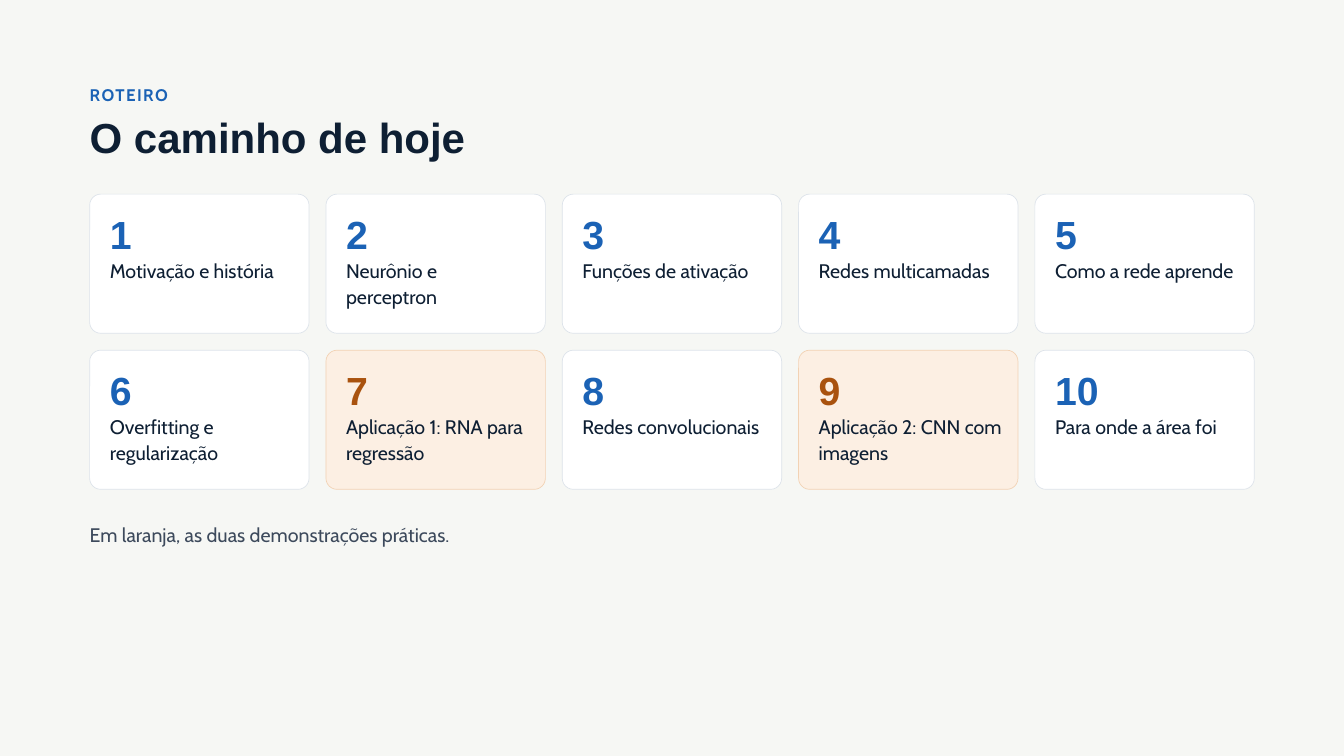
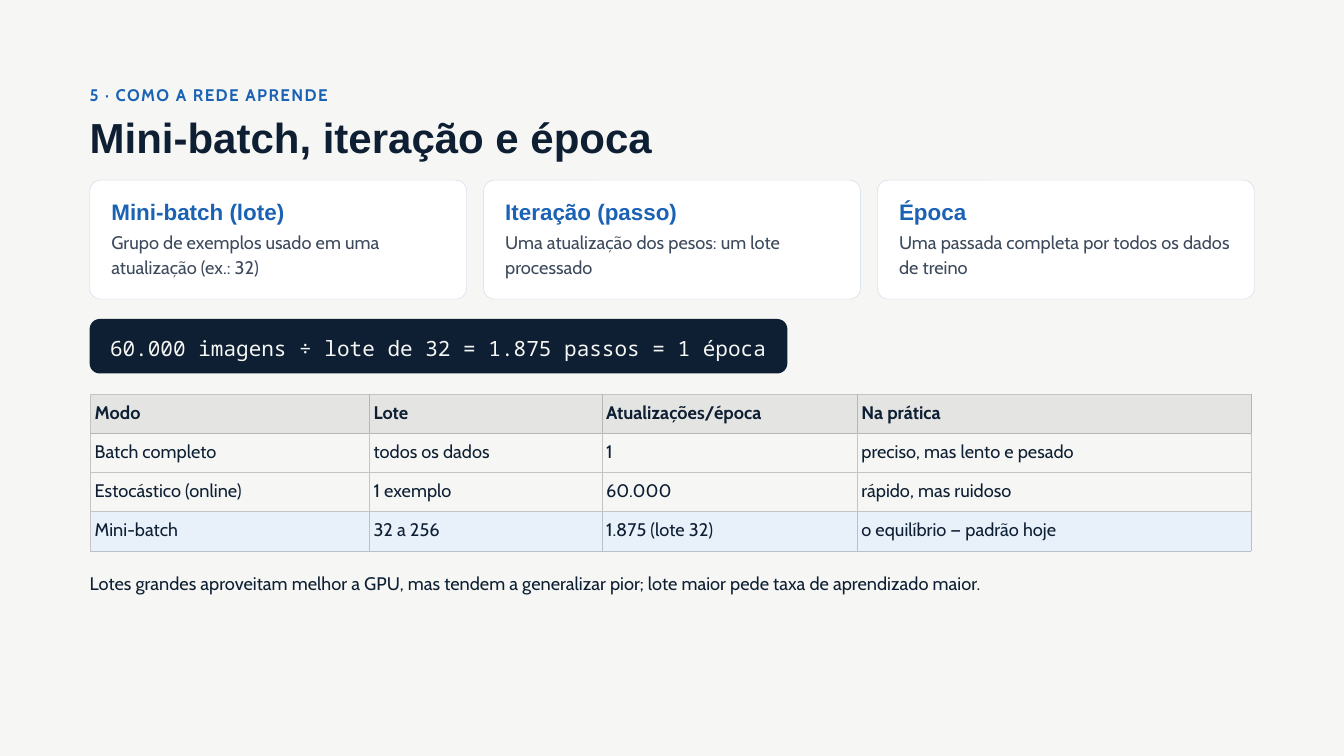
from dataclasses import dataclass
from typing import Optional

import lxml.etree
import pptx
import pptx.dml.color
import pptx.enum.shapes
import pptx.enum.text
import pptx.oxml.ns
import pptx.shapes.autoshape
import pptx.slide
import pptx.table
import pptx.text.text
import pptx.util

Cm = pptx.util.Cm
Pt = pptx.util.Pt
RGBColor = pptx.dml.color.RGBColor
PP_ALIGN = pptx.enum.text.PP_ALIGN
MSO_ANCHOR = pptx.enum.text.MSO_ANCHOR

# Colours
PAPER = RGBColor(0xF6, 0xF7, 0xF4)
WHITE = RGBColor(0xFF, 0xFF, 0xFF)
NAVY = RGBColor(0x0E, 0x1F, 0x33)
BLUE = RGBColor(0x1B, 0x62, 0xB5)
SLATE = RGBColor(0x3D, 0x4A, 0x5C)
CARD_EDGE = RGBColor(0xDD, 0xE3, 0xEA)
ORANGE = RGBColor(0xA9, 0x52, 0x0E)
ORANGE_PALE = RGBColor(0xFC, 0xEF, 0xE3)
ORANGE_EDGE = RGBColor(0xF2, 0xD2, 0xB4)
GRID = RGBColor(0xC4, 0xC5, 0xC3)
HEADER_FILL = RGBColor(0xE4, 0xE5, 0xE2)
HEADER_GRID = RGBColor(0xB6, 0xB7, 0xB4)
ACCENT_FILL = RGBColor(0xE8, 0xF0, 0xFA)
ACCENT_GRID = RGBColor(0xB9, 0xC0, 0xC7)

# Shared measures, in centimetres
LEFT = 3.39
CONTENT_WIDTH = 44.02
TEXT_WIDTH = 45.34
GAP = 0.64
CARD_RADIUS = 0.42
PADDING = 0.15


@dataclass(frozen=True)
class TextStyle:
    font: str
    size: float
    line: float
    color: RGBColor
    bold: bool = False
    tracking: float = 0


@dataclass(frozen=True)
class Box:
    left: float
    top: float
    width: float
    height: float

    def lengths(self) -> tuple:
        return Cm(self.left), Cm(self.top), Cm(self.width), Cm(self.height)


@dataclass(frozen=True)
class CardLook:
    fill: RGBColor
    edge: RGBColor
    accent: RGBColor


@dataclass(frozen=True)
class RowLook:
    fill: Optional[RGBColor]
    grid: RGBColor
    bold: bool = False


@dataclass(frozen=True)
class CardLayout:
    """Grid of cards, each with a heading above a text."""
    columns: int
    top: float
    height: float
    indent: float
    text_width: float
    heading_top: float
    heading_height: float
    body_top: float
    body_height: float

    def card(self, index: int) -> Box:
        width = (CONTENT_WIDTH - (self.columns - 1) * GAP) / self.columns
        row, column = divmod(index, self.columns)
        return Box(LEFT + column * (width + GAP), self.top + row * (self.height + GAP), width, self.height)


EYEBROW = TextStyle("Cabin", 18, 25.2, BLUE, True, 1.5)
TITLE = TextStyle("Arial", 45, 49.5, NAVY, True)
TOPIC = TextStyle("Cabin", 21, 27.3, NAVY)
CAPTION = TextStyle("Cabin", 21, 29.4, SLATE)
DEFINITION = TextStyle("Cabin", 19.5, 26.3, SLATE)
FORMULA = TextStyle("Noto Sans Mono", 22.5, 31.5, PAPER)
REMARK = TextStyle("Cabin", 19.5, 27.3, NAVY)

PLAIN_CARD = CardLook(WHITE, CARD_EDGE, BLUE)
DEMO_CARD = CardLook(ORANGE_PALE, ORANGE_EDGE, ORANGE)

AGENDA_LAYOUT = CardLayout(5, 7.34, 5.26, 0.76, 6.98, 0.91, 1.42, 2.38, 2.1)
TERM_LAYOUT = CardLayout(3, 6.81, 4.5, 0.82, 13, 0.68, 1.14, 1.85, 2.03)

# Content
TOPICS = [
    "Motivação e história", "Neurônio e perceptron", "Funções de ativação",
    "Redes multicamadas", "Como a rede aprende", "Overfitting e regularização",
    "Aplicação 1: RNA para regressão", "Redes convolucionais",
    "Aplicação 2: CNN com imagens", "Para onde a área foi",
]
DEMO_NUMBERS = {7, 9}
TERMS = [
    ("Mini-batch (lote)", "Grupo de exemplos usado em uma atualização (ex.: 32)"),
    ("Iteração (passo)", "Uma atualização dos pesos: um lote processado"),
    ("Época", "Uma passada completa por todos os dados de treino"),
]
MODE_ROWS = [
    (RowLook(HEADER_FILL, HEADER_GRID, True), ("Modo", "Lote", "Atualizações/época", "Na prática")),
    (RowLook(None, GRID), ("Batch completo", "todos os dados", "1", "preciso, mas lento e pesado")),
    (RowLook(None, GRID), ("Estocástico (online)", "1 exemplo", "60.000", "rápido, mas ruidoso")),
    (RowLook(ACCENT_FILL, ACCENT_GRID), ("Mini-batch", "32 a 256", "1.875 (lote 32)", "o equilíbrio — padrão hoje")),
]
MODE_COLUMNS = [10.54, 8.79, 9.65, 14.88]
MODE_ROW_HEIGHT = 1.48


# Drawing helpers
def write(frame: pptx.text.text.TextFrame, text: str, style: TextStyle, bold: Optional[bool] = None,
          color: Optional[RGBColor] = None, align: PP_ALIGN = PP_ALIGN.LEFT) -> None:
    paragraph = frame.paragraphs[0]
    paragraph.alignment = align
    paragraph.line_spacing = Pt(style.line)
    run = paragraph.add_run()
    run.text = text
    run.font.name = style.font
    run.font.size = Pt(style.size)
    run.font.bold = style.bold if bold is None else bold
    run.font.color.rgb = color or style.color
    if style.tracking:
        run._r.get_or_add_rPr().set("spc", str(round(style.tracking * 100)))


def set_frame(frame: pptx.text.text.TextFrame, margin: float = 0, anchor: MSO_ANCHOR = MSO_ANCHOR.TOP) -> None:
    frame.word_wrap = True
    frame.auto_size = pptx.enum.text.MSO_AUTO_SIZE.NONE
    frame.vertical_anchor = anchor
    frame.margin_left = frame.margin_top = frame.margin_right = frame.margin_bottom = Cm(margin)


def add_text(slide: pptx.slide.Slide, box: Box, text: str, style: TextStyle,
             color: Optional[RGBColor] = None) -> None:
    frame = slide.shapes.add_textbox(*box.lengths()).text_frame
    set_frame(frame)
    write(frame, text, style, color=color)


def add_panel(slide: pptx.slide.Slide, box: Box, radius: float, fill: RGBColor,
              edge: Optional[RGBColor] = None) -> pptx.shapes.autoshape.Shape:
    shape = slide.shapes.add_shape(pptx.enum.shapes.MSO_SHAPE.ROUNDED_RECTANGLE, *box.lengths())
    shape.adjustments[0] = radius / min(box.width, box.height)
    shape.shadow.inherit = False
    shape.fill.solid()
    shape.fill.fore_color.rgb = fill
    if edge is None:
        shape.line.fill.background()
    else:
        shape.line.color.rgb = edge
        shape.line.width = Pt(0.75)
    return shape


def add_card(slide: pptx.slide.Slide, layout: CardLayout, index: int, look: CardLook,
             heading: str, heading_style: TextStyle, body: str, body_style: TextStyle) -> None:
    card = layout.card(index)
    add_panel(slide, card, CARD_RADIUS, look.fill, look.edge)
    left = card.left + layout.indent
    add_text(slide, Box(left, card.top + layout.heading_top, layout.text_width, layout.heading_height),
             heading, heading_style, look.accent)
    add_text(slide, Box(left, card.top + layout.body_top, layout.text_width, layout.body_height),
             body, body_style)


def add_slide(presentation, eyebrow: str, title: str) -> pptx.slide.Slide:
    slide = presentation.slides.add_slide(presentation.slide_layouts[5])
    add_text(slide, Box(LEFT, 3.07, TEXT_WIDTH, 1.09), eyebrow, EYEBROW)
    shape = slide.shapes.title
    shape.left, shape.top, shape.width, shape.height = Box(LEFT, 4.39, TEXT_WIDTH, 1.8).lengths()
    set_frame(shape.text_frame)
    write(shape.text_frame, title, TITLE)
    return slide


def set_borders(cell: pptx.table._Cell, colors: dict) -> None:
    properties = cell._tc.get_or_add_tcPr()
    qualified = pptx.oxml.ns.qn
    for side in ("L", "R", "T", "B"):
        line = lxml.etree.SubElement(properties, qualified(f"a:ln{side}"), w=str(Pt(1)))
        fill = lxml.etree.SubElement(line, qualified("a:solidFill"))
        lxml.etree.SubElement(fill, qualified("a:srgbClr"), val=str(colors[side]))


def add_mode_table(slide: pptx.slide.Slide) -> None:
    box = Box(3.43, 14.91, sum(MODE_COLUMNS), MODE_ROW_HEIGHT * len(MODE_ROWS))
    table = slide.shapes.add_table(len(MODE_ROWS), len(MODE_COLUMNS), *box.lengths()).table
    table.first_row = table.horz_banding = False
    for column, width in zip(table.columns, MODE_COLUMNS):
        column.width = Cm(width)
    grid_above = GRID
    for row, (look, texts) in zip(table.rows, MODE_ROWS):
        row.height = Cm(MODE_ROW_HEIGHT)
        grid_left = GRID
        for cell, text in zip(row.cells, texts):
            set_borders(cell, {"L": grid_left, "R": look.grid, "T": grid_above, "B": look.grid})
            grid_left = look.grid
            if look.fill is None:
                cell.fill.background()
            else:
                cell.fill.solid()
                cell.fill.fore_color.rgb = look.fill
            cell.margin_left = cell.margin_right = cell.margin_top = cell.margin_bottom = Cm(PADDING)
            write(cell.text_frame, text, REMARK, bold=look.bold)
        grid_above = look.grid


# Slides
def build_agenda(presentation) -> None:
    slide = add_slide(presentation, "ROTEIRO", "O caminho de hoje")
    number_style = TextStyle("Arial", 42, 42, BLUE, True)
    for index, topic in enumerate(TOPICS):
        look = DEMO_CARD if index + 1 in DEMO_NUMBERS else PLAIN_CARD
        add_card(slide, AGENDA_LAYOUT, index, look, str(index + 1), number_style, topic, TOPIC)
    add_text(slide, Box(LEFT, 19.61, TEXT_WIDTH, 1.27), "Em laranja, as duas demonstrações práticas.", CAPTION)


def build_batches(presentation) -> None:
    slide = add_slide(presentation, "5 · COMO A REDE APRENDE", "Mini-batch, iteração e época")
    term_style = TextStyle("Arial", 24, 28.8, BLUE, True)
    for index, (term, definition) in enumerate(TERMS):
        add_card(slide, TERM_LAYOUT, index, PLAIN_CARD, term, term_style, definition, DEFINITION)
    formula = add_panel(slide, Box(LEFT, 12.06, 26.37, 2.06), 0.38, NAVY)
    set_frame(formula.text_frame, PADDING, MSO_ANCHOR.MIDDLE)
    write(formula.text_frame, "60.000 imagens ÷ lote de 32 = 1.875 passos = 1 época", FORMULA,
          align=PP_ALIGN.CENTER)
    add_mode_table(slide)
    add_text(slide, Box(LEFT, 21.49, TEXT_WIDTH, 1.17),
             "Lotes grandes aproveitam melhor a GPU, mas tendem a generalizar pior; "
             "lote maior pede taxa de aprendizado maior.", REMARK)


def main() -> None:
    presentation = pptx.Presentation()
    presentation.slide_width, presentation.slide_height = Cm(50.8), Cm(28.58)
    background = presentation.slide_master.background.fill
    background.solid()
    background.fore_color.rgb = PAPER
    build_agenda(presentation)
    build_batches(presentation)
    presentation.save("out.pptx")


if __name__ == "__main__":
    main()
